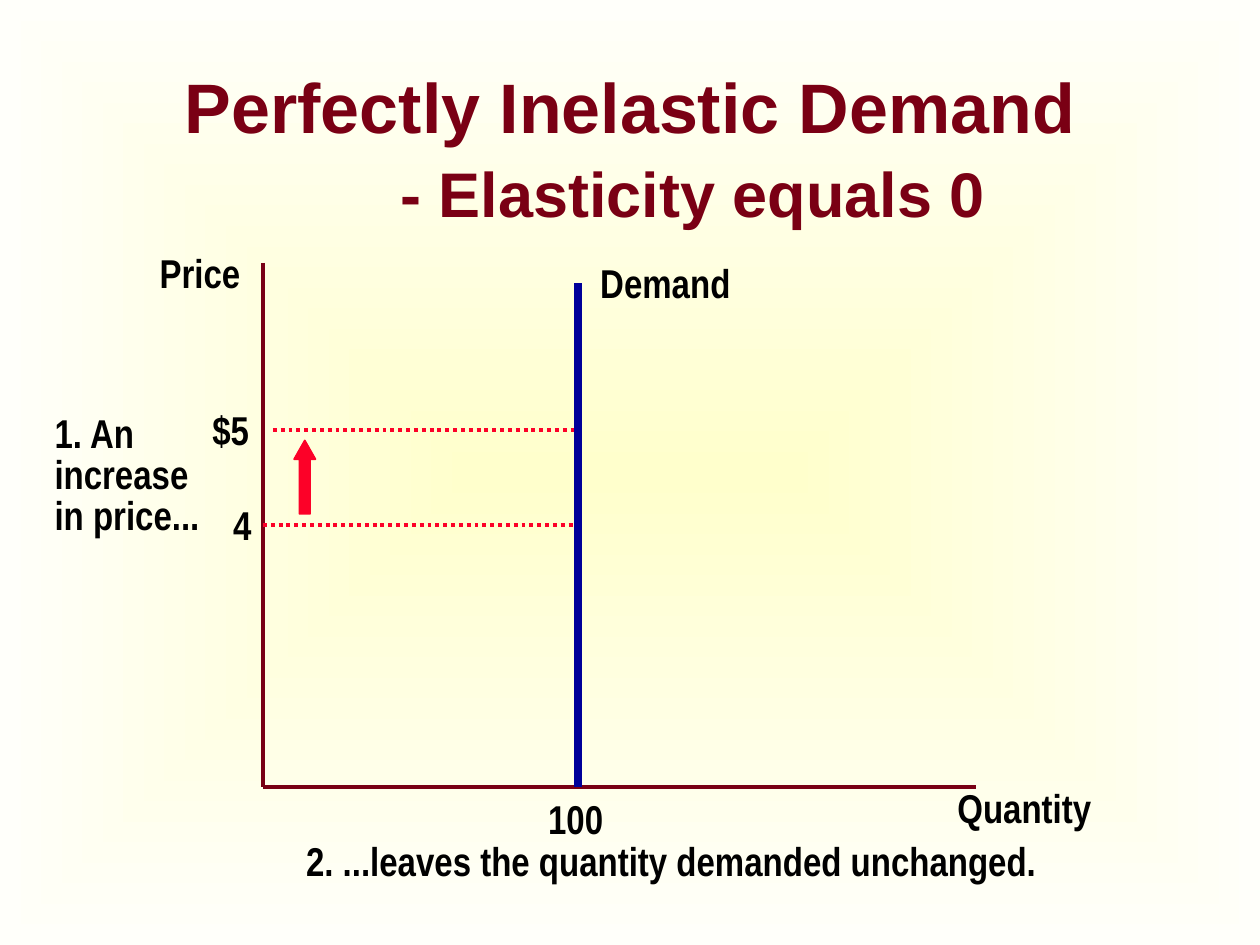
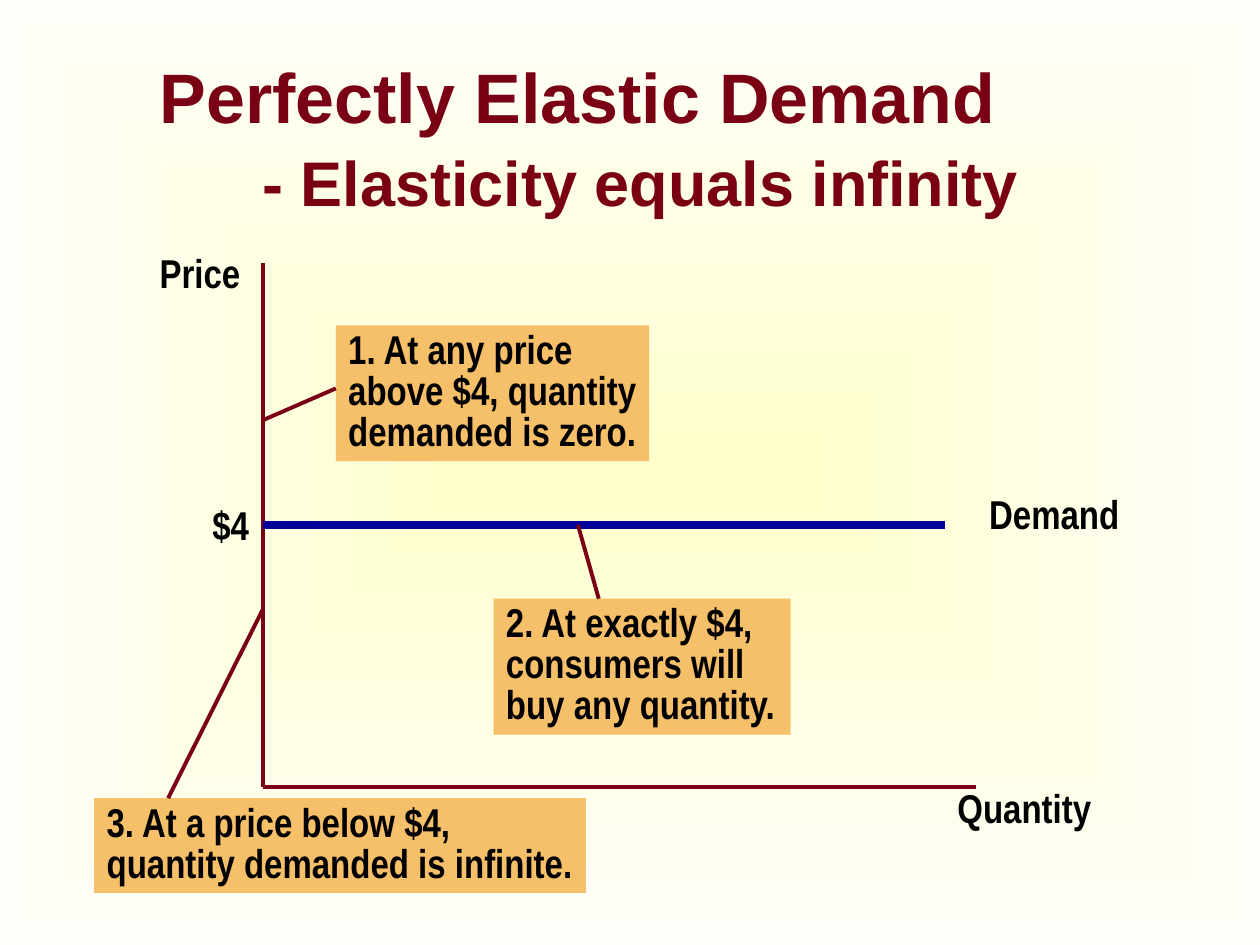
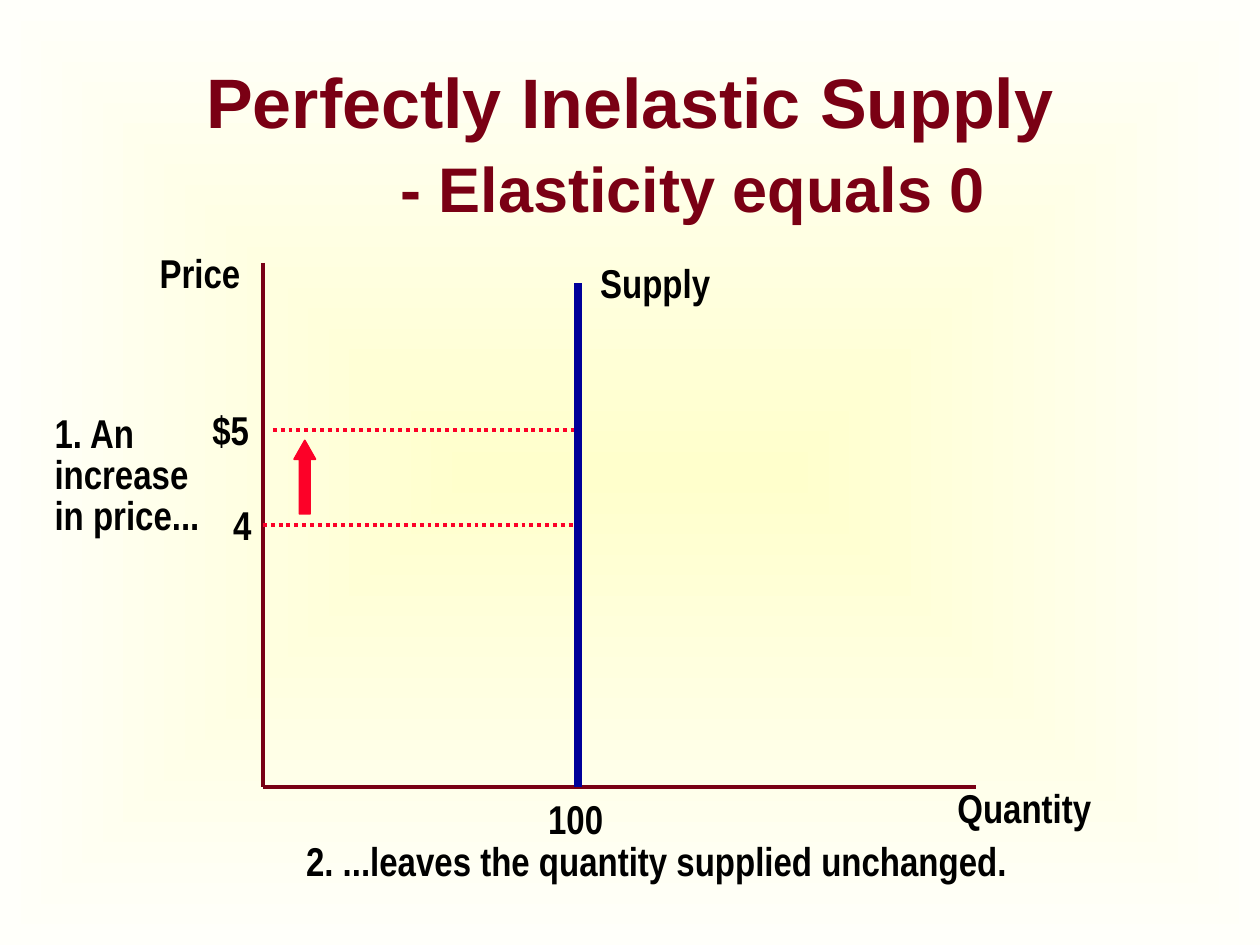
import pptx
import pptx.dml.color
import pptx.enum.dml
import pptx.enum.shapes
import pptx.enum.text
import pptx.oxml
import pptx.oxml.ns
import pptx.util
from pptx.util import Cm

MAROON = pptx.dml.color.RGBColor(0x79, 0x00, 0x15)
TITLE_MAROON = pptx.dml.color.RGBColor(0x7A, 0x00, 0x14)
RED = pptx.dml.color.RGBColor(0xFC, 0x01, 0x28)
NAVY = pptx.dml.color.RGBColor(0x00, 0x00, 0x99)
ORANGE = pptx.dml.color.RGBColor(0xF6, 0xBF, 0x69)
BLACK = pptx.dml.color.RGBColor(0x00, 0x00, 0x00)
CREAM = pptx.dml.color.RGBColor(0xFF, 0xFF, 0xCC)
IVORY = pptx.dml.color.RGBColor(0xFF, 0xFF, 0xFA)

LABEL_FONT = {"name": "Arial Narrow", "size": pptx.util.Pt(23), "bold": True}
TITLE_FONT = {"name": "Arial", "size": pptx.util.Pt(40), "bold": True}
SUBTITLE_FONT = {**TITLE_FONT, "size": pptx.util.Pt(36)}
LABEL_HEIGHTS = {1: 1.24, 2: 1.91, 3: 2.74}  # by number of lines

# Diagram coordinates in centimetres
AXIS_X, AXIS_TOP, AXIS_Y, AXIS_RIGHT = 5.3, 5.3, 15.87, 19.68
QUANTITY_X = 11.65
PRICE_4_Y, PRICE_5_Y = 10.58, 8.67


def add_text(page, lines, left, top, width, fill=None):
    """Add a label of one or more lines, with an optional fill."""
    box = page.shapes.add_textbox(
        Cm(left), Cm(top), Cm(width), Cm(LABEL_HEIGHTS[len(lines)]))
    if fill is not None:
        box.fill.solid()
        box.fill.fore_color.rgb = fill
    frame = box.text_frame
    frame.word_wrap = False
    frame.auto_size = pptx.enum.text.MSO_AUTO_SIZE.SHAPE_TO_FIT_TEXT
    frame.text = "\n".join(lines)
    for para in frame.paragraphs:
        if len(lines) > 1:
            para.line_spacing = 0.85
        span = para.runs[0]
        span.font.color.rgb = BLACK
        for name, value in LABEL_FONT.items():
            setattr(span.font, name, value)


def add_line(page, start, end, color=MAROON, width=2.25, dash=None):
    """Add a straight line without a shadow."""
    line = page.shapes.add_connector(
        pptx.enum.shapes.MSO_CONNECTOR.STRAIGHT,
        Cm(start[0]), Cm(start[1]), Cm(end[0]), Cm(end[1]))
    line.line.color.rgb = color
    line.line.width = pptx.util.Pt(width)
    if dash is not None:
        line.line.dash_style = dash
    line._element.spPr.append(pptx.oxml.parse_xml(
        f'<a:effectLst {pptx.oxml.ns.nsdecls("a")}/>'))


deck = pptx.Presentation()
deck.slide_width, deck.slide_height = Cm(25.4), Cm(19.05)

# Shared background: a rectangular gradient from the centre outwards
background = deck.slide_master.background.fill
background.gradient()
for stop, color, position in zip(background.gradient_stops, (CREAM, IVORY), (0, 1)):
    stop.color.rgb = color
    stop.position = position
gradient = deck.slide_master._element.find(".//" + pptx.oxml.ns.qn("a:gradFill"))
linear = gradient.find(pptx.oxml.ns.qn("a:lin"))
gradient.replace(linear, pptx.oxml.parse_xml(
    f'<a:path {pptx.oxml.ns.nsdecls("a")} path="rect">'
    '<a:fillToRect l="50000" t="50000" r="50000" b="50000"/></a:path>'))

# Titles and axes of all slides
titles = [
    ("Perfectly Inelastic Demand", "- Elasticity equals 0", (0.85, 1.48, 23.7, 2.96)),
    ("Perfectly Elastic Demand", "- Elasticity equals infinity", (0.85, 1.06, 21.59, 3.39)),
    ("Perfectly Inelastic Supply", "- Elasticity equals 0", (0, 1.27, 25.4, 3.18)),
]
pages = []
for title, subtitle, place in titles:
    page = deck.slides.add_slide(deck.slide_layouts[6])
    pages.append(page)
    frame = page.shapes.add_textbox(*map(Cm, place)).text_frame
    frame.word_wrap = True
    frame.vertical_anchor = pptx.enum.text.MSO_ANCHOR.MIDDLE
    frame.text = f"{title}\n{subtitle}"
    for para, style in zip(frame.paragraphs, (TITLE_FONT, SUBTITLE_FONT)):
        para.alignment = pptx.enum.text.PP_ALIGN.CENTER
        span = para.runs[0]
        span.font.color.rgb = TITLE_MAROON
        for name, value in style.items():
            setattr(span.font, name, value)
    # The second line is shifted to the right
    para.space_before = pptx.util.Pt(3.5)
    para._p.get_or_add_pPr().set("marL", str(Cm(2.54)))

    add_line(page, (AXIS_X, AXIS_TOP), (AXIS_X, AXIS_Y))
    add_line(page, (AXIS_X, AXIS_Y), (AXIS_RIGHT, AXIS_Y))
    add_text(page, ["Quantity"], 19.05, 15.66, 3.25)
    add_text(page, ["Price"], 2.97, 4.88, 2.18)

# Perfectly inelastic curves: vertical line, price rise from 4 to 5
for page, curve, width, verb, note_width in (
        (pages[0], "Demand", 3.17, "demanded", 15.3),
        (pages[2], "Supply", 2.77, "supplied", 14.71)):
    add_text(page, ["4"], 4.45, 9.96, 0.9)
    add_text(page, ["$5"], 4.03, 8.04, 1.29)
    for start, price in ((AXIS_X, PRICE_4_Y), (5.5, PRICE_5_Y)):
        add_line(page, (start, price), (QUANTITY_X, price), RED,
                 dash=pptx.enum.dml.MSO_LINE.ROUND_DOT)
    add_text(page, [curve], 11.85, 5.08, width)
    add_line(page, (QUANTITY_X, AXIS_Y), (QUANTITY_X, 5.71), NAVY, 4.5)
    add_text(page, ["100"], 10.8, 15.88, 1.68)
    add_text(page, [f"2. ...leaves the quantity {verb} unchanged."],
             5.92, 16.73, note_width)
    add_text(page, ["1. An", "increase", "in price..."], 0.85, 8.26, 3.46)

    arrow = page.shapes.add_shape(
        pptx.enum.shapes.MSO_SHAPE.UP_ARROW, Cm(5.93), Cm(8.88), Cm(0.43), Cm(1.48))
    arrow.shadow.inherit = False
    arrow.adjustments[1] = 0.88
    arrow.fill.solid()
    arrow.fill.fore_color.rgb = RED
    arrow.line.color.rgb = RED
    arrow.line.width = pptx.util.Pt(1)

# Perfectly elastic demand: horizontal line with three callouts
page = pages[1]
add_text(page, ["Demand"], 19.69, 9.74, 3.17)
add_text(page, ["$4"], 4.03, 9.96, 1.29)
add_line(page, (AXIS_X, PRICE_4_Y), (19.05, PRICE_4_Y), NAVY, 4.5)
callouts = [
    (["1. At any price", "above $4, quantity", "demanded is zero."],
     (6.77, 6.56, 6.32), (AXIS_X, 8.47), (6.77, 7.83)),
    (["2. At exactly $4,", "consumers will", "buy any quantity."],
     (9.95, 12.07, 5.99), (QUANTITY_X, PRICE_4_Y), (12.07, 12.07)),
    (["3. At a price below $4,", "quantity demanded is infinite."],
     (1.9, 16.09, 9.91), (3.39, 16.09), (AXIS_X, 12.28)),
]
for lines, place, start, end in callouts:
    add_text(page, lines, *place, fill=ORANGE)
    add_line(page, start, end)

deck.save("out.pptx")
